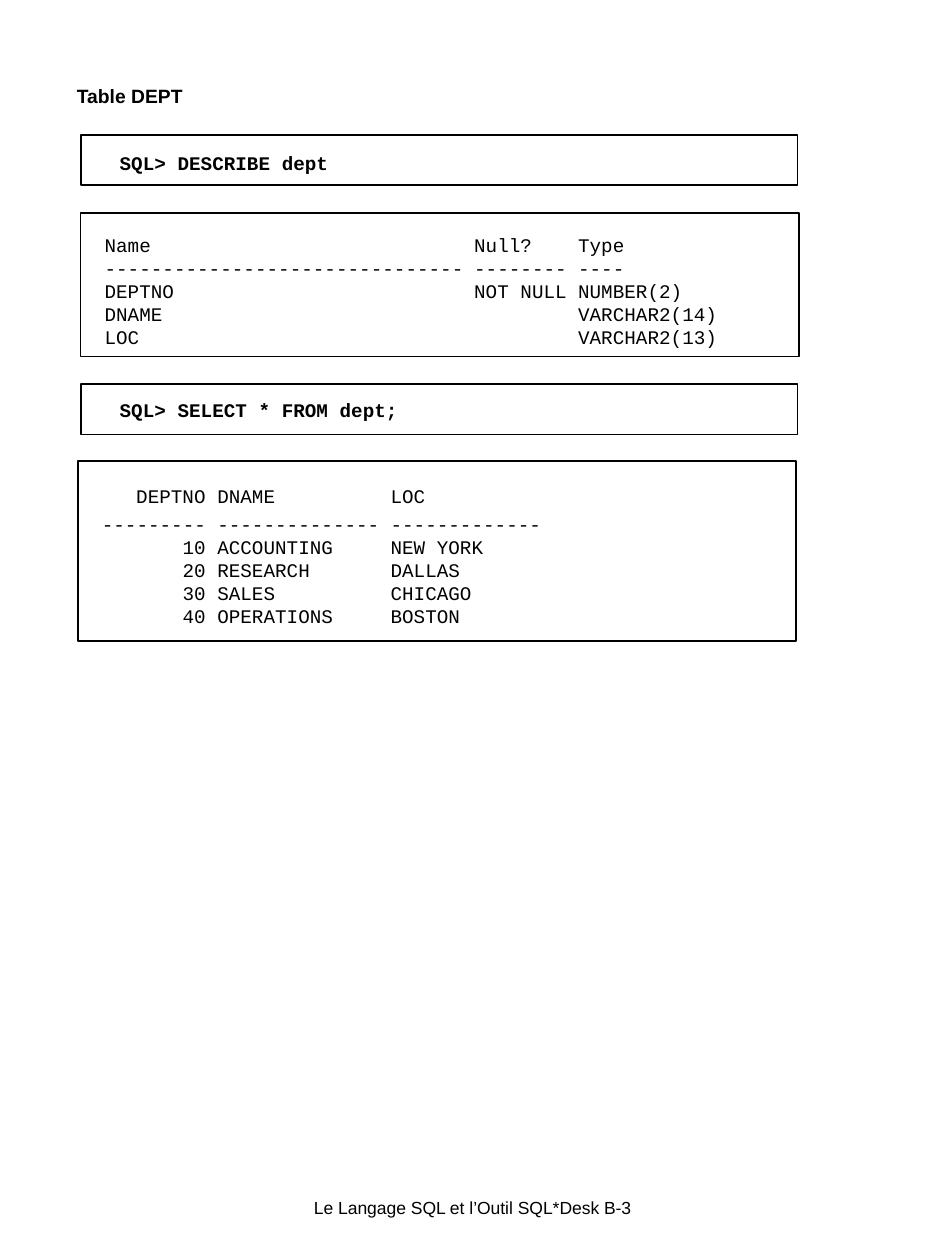
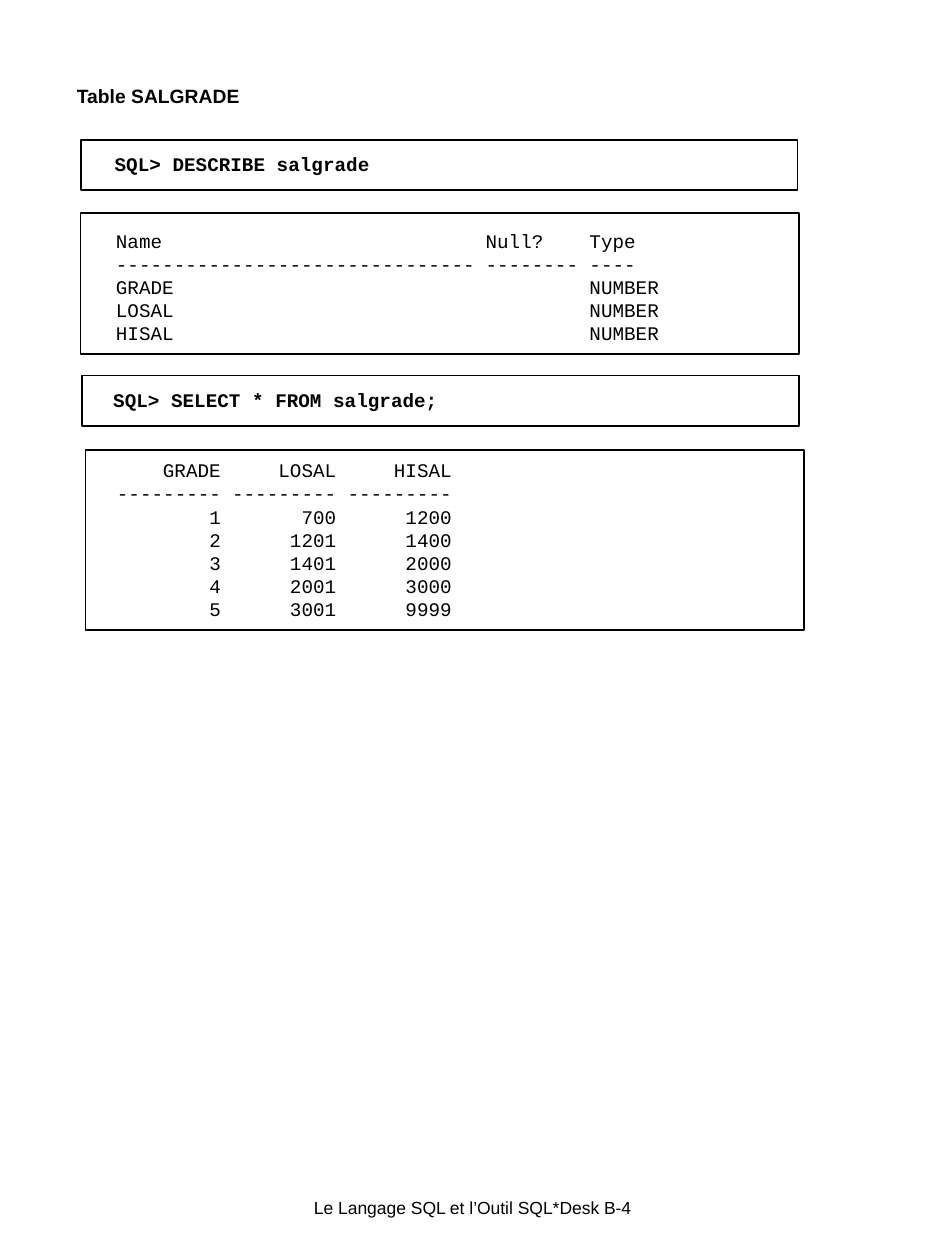
from typing import NamedTuple

from lxml.etree import SubElement as Sub
from pptx import Presentation
from pptx.dml.color import RGBColor as Rgb
from pptx.enum.shapes import MSO_SHAPE as Shape
from pptx.enum.text import MSO_ANCHOR as Anchor, MSO_AUTO_SIZE as Auto, PP_ALIGN as Align
from pptx.oxml.ns import qn
from pptx.util import Inches, Pt

# Shared style
INK = "000000"
SANS, MONO = "Arial", "Courier New"
SIZE = 11
LEAD = 13.2
CHAR = SIZE * 0.6 / 72  # width of one monospaced letter, in inches
FOOT = "Le Langage SQL et l’Outil SQL*Desk B-"


class Box(NamedTuple):
    left: float
    top: float
    width: float
    height: float


class Col(NamedTuple):
    name: str
    width: int  # letters
    right: bool = False


class Query(NamedTuple):
    frame: Box
    area: Box
    inset: float
    text: str


class Result(NamedTuple):
    frame: Box
    area: Box
    inset: float
    cols: list[Col]
    rows: list[tuple[str, ...]]
    head: float = 0.05  # space above the header
    gap: float = 0  # points below the header


class Page(NamedTuple):
    title: str
    number: int
    panels: list[Query | Result]


def paint(code: str) -> Rgb:
    return Rgb.from_string(code)


def place(shape, box: Box) -> None:
    shape.left, shape.top, shape.width, shape.height = map(Inches, box)


def setup(frame, left: float, top: float, right: float = 0) -> None:
    frame.word_wrap = True
    frame.auto_size = Auto.NONE
    frame.vertical_anchor = Anchor.TOP
    frame.margin_left, frame.margin_top = Inches(left), Inches(top)
    frame.margin_right, frame.margin_bottom = Inches(right), Inches(0)


def write(para, text: str, face: str, size: float = SIZE, bold: bool = False) -> None:
    run = para.add_run()
    run.text = text
    font = run.font
    font.name, font.size, font.bold = face, Pt(size), bold
    font.color.rgb = paint(INK)


def outline(slide, box: Box) -> None:
    rect = slide.shapes.add_shape(Shape.RECTANGLE, *map(Inches, box))
    rect.shadow.inherit = False
    rect.fill.background()
    rect.line.color.rgb = paint(INK)
    rect.line.width = Pt(1)


def textbox(slide, box: Box, inset: float = 0, top: float = 0):
    frame = slide.shapes.add_textbox(*map(Inches, box)).text_frame
    setup(frame, inset, top)
    return frame


def add_tabs(para, cols: list[Col]) -> None:
    """Set one stop per column; a left-aligned first column needs none."""
    stops = Sub(para._p.get_or_add_pPr(), qn("a:tabLst"))
    start = 0
    for col in cols:
        spot = start + col.width if col.right else start
        if spot:
            Sub(stops, qn("a:tab"), pos=str(Inches(spot * CHAR)),
                algn="r" if col.right else "l")
        start += col.width + 1


def add_query(slide, item: Query) -> None:
    outline(slide, item.frame)
    para = textbox(slide, item.area, item.inset, 0.05).paragraphs[0]
    para.line_spacing = Pt(LEAD)
    write(para, item.text, MONO, bold=True)


def add_result(slide, item: Result) -> None:
    outline(slide, item.frame)
    frame = textbox(slide, item.area, item.inset, item.head)
    names = tuple(col.name for col in item.cols)
    rules = tuple("-" * col.width for col in item.cols)
    lead = "\t" if item.cols[0].right else ""
    for i, row in enumerate([names, rules, *item.rows]):
        para = frame.add_paragraph() if i else frame.paragraphs[0]
        para.line_spacing = Pt(LEAD)
        para.space_before = Pt(0)
        para.space_after = Pt(0 if i else item.gap)
        add_tabs(para, item.cols)
        write(para, lead + "\t".join(row), MONO)


def add_page(deck, page: Page) -> None:
    slide = deck.slides.add_slide(deck.slide_layouts[5])

    # Title
    title = slide.shapes.title
    place(title, Box(0.52, 0.61, 5.84, 0.35))
    setup(title.text_frame, 0.09, 0.04, 0.09)
    para = title.text_frame.paragraphs[0]
    para.alignment = Align.LEFT
    para.line_spacing = 1.1
    write(para, page.title, SANS, bold=True)

    # Queries and their results
    for panel in page.panels:
        if isinstance(panel, Query):
            add_query(slide, panel)
        else:
            add_result(slide, panel)

    # Footer
    para = textbox(slide, Box(0.85, 9.5, 5.8, 0.17)).paragraphs[0]
    para.alignment = Align.CENTER
    write(para, f"{FOOT}{page.number}", SANS, 10)


# Content
FIELDS = [Col("Name", 31), Col("Null?", 8), Col("Type", 4)]

PAGES = [
    Page("Table DEPT", 3, [
        Query(Box(0.64, 1.07, 5.69, 0.4), Box(0.63, 1.15, 4.85, 0.42), 0.32,
              "SQL> DESCRIBE dept"),
        Result(Box(0.64, 1.69, 5.7, 1.14), Box(0.64, 1.8, 5.66, 1.01), 0.19, FIELDS, [
            ("DEPTNO", "NOT NULL", "NUMBER(2)"),
            ("DNAME", "", "VARCHAR2(14)"),
            ("LOC", "", "VARCHAR2(13)"),
        ]),
        Query(Box(0.64, 3.05, 5.69, 0.4), Box(0.64, 3.11, 5.69, 0.27), 0.31,
              "SQL> SELECT * FROM dept;"),
        Result(Box(0.62, 3.66, 5.7, 1.43), Box(0.71, 3.61, 3.7, 1.42), 0.1,
               [Col("DEPTNO", 9, True), Col("DNAME", 14), Col("LOC", 13)], [
            ("10", "ACCOUNTING", "NEW YORK"),
            ("20", "RESEARCH", "DALLAS"),
            ("30", "SALES", "CHICAGO"),
            ("40", "OPERATIONS", "BOSTON"),
        ], head=0.23, gap=2.9),
    ]),
    Page("Table SALGRADE", 4, [
        Query(Box(0.64, 1.11, 5.69, 0.4), Box(0.64, 1.16, 3.72, 0.46), 0.27,
              "SQL> DESCRIBE salgrade"),
        Result(Box(0.64, 1.69, 5.7, 1.12), Box(0.64, 1.77, 5.92, 1.01), 0.28, FIELDS,
               [(name, "", "NUMBER") for name in ("GRADE", "LOSAL", "HISAL")]),
        Query(Box(0.65, 2.98, 5.69, 0.4), Box(0.8, 3.03, 2.78, 0.28), 0.1,
              "SQL> SELECT * FROM salgrade;"),
        Result(Box(0.68, 3.57, 5.7, 1.43), Box(0.83, 3.59, 2.87, 1.39), 0.1,
               [Col(name, 9, True) for name in ("GRADE", "LOSAL", "HISAL")], [
            ("1", "700", "1200"),
            ("2", "1201", "1400"),
            ("3", "1401", "2000"),
            ("4", "2001", "3000"),
            ("5", "3001", "9999"),
        ]),
    ]),
]


def main() -> None:
    deck = Presentation()
    deck.slide_width, deck.slide_height = Inches(7.5), Inches(10)
    for page in PAGES:
        add_page(deck, page)
    deck.save("out.pptx")


if __name__ == "__main__":
    main()
